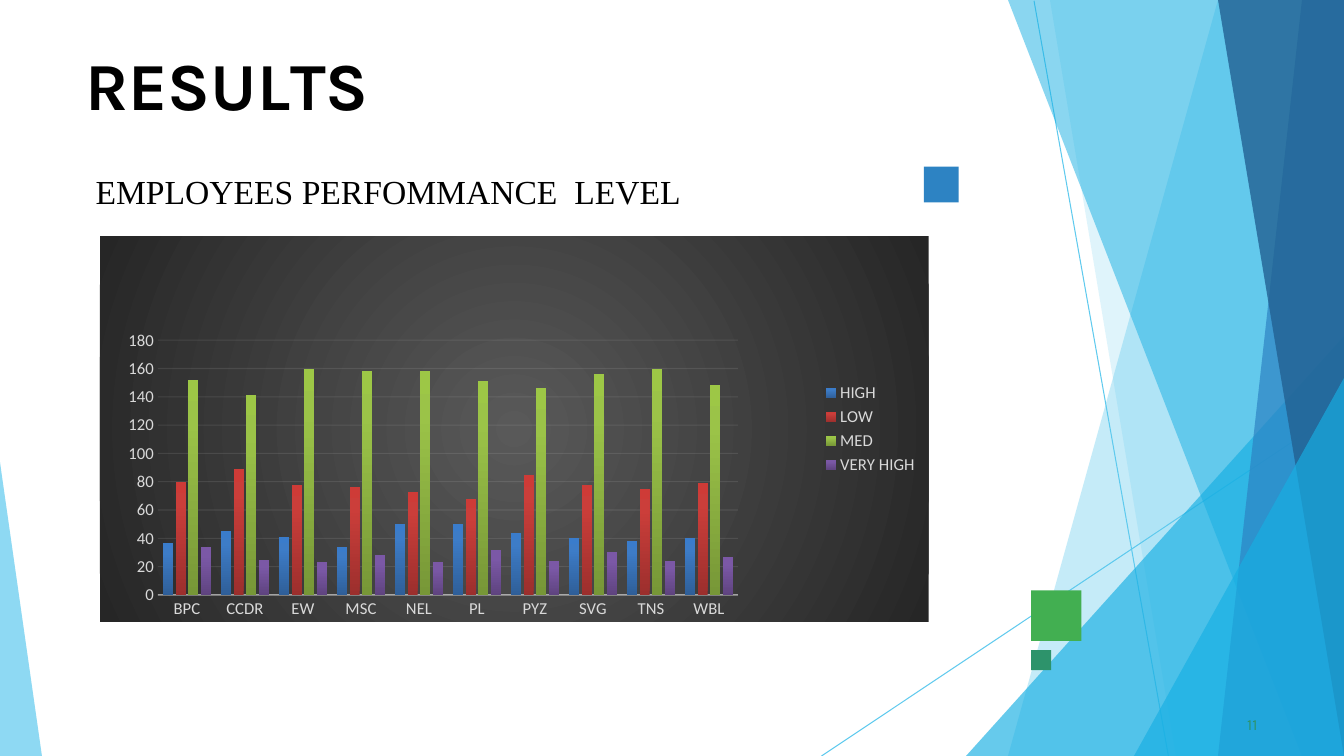
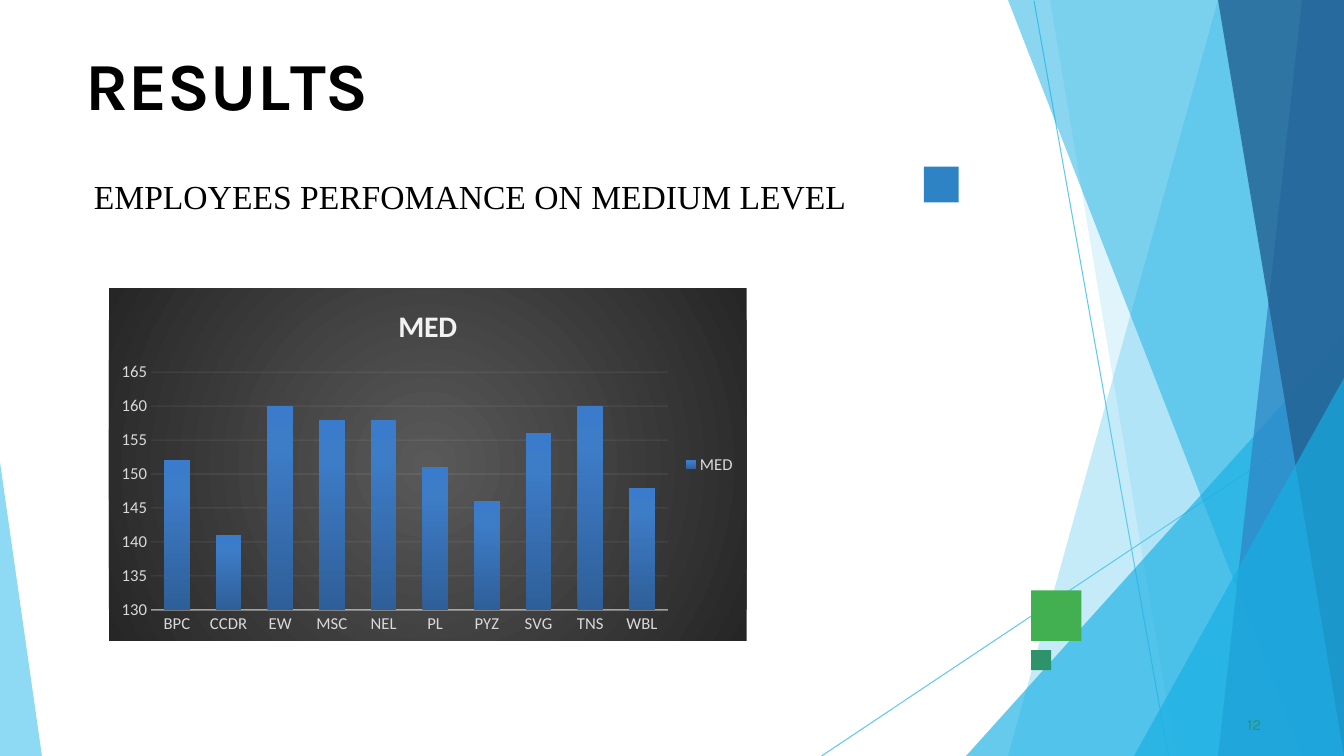
"""Build two result slides with column charts over a faceted blue backdrop."""
from dataclasses import dataclass
from typing import Any, NamedTuple

import lxml.etree
import pptx
import pptx.chart.chart
import pptx.chart.data
import pptx.dml.color
import pptx.enum.chart
import pptx.enum.shapes
import pptx.enum.text
import pptx.oxml
import pptx.oxml.ns
import pptx.slide
import pptx.util

COLS, ROWS = 32, 18
UNIT = pptx.util.Inches(7.5) // ROWS
qn = pptx.oxml.ns.qn


@dataclass(frozen=True)
class Theme:
    """Colours, fonts and type sizes of the deck."""
    sky: str = "5FCAEE"
    cyan: str = "17AFE3"
    blue: str = "2D83C3"
    navy: str = "226192"
    green: str = "42AF51"
    teal: str = "2D936B"
    black: str = "000000"
    pale: str = "D9D9D9"
    light: str = "F2F2F2"
    panel: tuple = ((0, "595959"), (100, "262626"))
    bars: tuple = (
        ((0, "2F5F99"), (80, "3D7CC7"), (100, "3A7CCB")),
        ((0, "9C2F2D"), (80, "CB3E3A"), (100, "CE3B37")),
        ((0, "779737"), (80, "9BC348"), (100, "9DC746")),
        ((0, "5F4480"), (80, "7B58A6"), (100, "7C57A8")),
    )
    head: str = "Karla"
    body: str = "Times New Roman"
    plot: str = "Calibri"
    big: float = 48
    mid: float = 24
    small: float = 11
    label: float = 11.9
    name: float = 21.3


LOOK = Theme()


class Box(NamedTuple):
    """Left, top, width and height in grid units."""
    x: float
    y: float
    w: float
    h: float

    def emu(self) -> list[int]:
        """Return the four lengths in EMU."""
        return [round(v * UNIT) for v in self]


class Band(NamedTuple):
    """Facet between a slide edge and a slanted side that runs to the foot."""
    edge: float
    top: float
    y: float
    foot: float
    color: str
    alpha: int


class Ray(NamedTuple):
    """Thin line from a point to the foot of the slide."""
    x: float
    y: float
    foot: float


class Tile(NamedTuple):
    """Small coloured square."""
    box: Box
    color: str


class Scale(NamedTuple):
    """Range and step of a value axis."""
    low: float
    high: float
    step: float


class Page(NamedTuple):
    """What differs from slide to slide."""
    num: str
    width: float
    text: str
    note: Box
    chart: Box
    names: list[str]
    scale: Scale
    title: str = ""
    inner: tuple = ()


BANDS = [
    Band(COLS, 29.47, 0, 24.1, LOOK.sky, 36),
    Band(COLS, 25.2, 0, 28.37, LOOK.sky, 20),
    Band(COLS, COLS, 8, 23.45, LOOK.cyan, 66),
    Band(COLS, 24.5, 0, 30.98, LOOK.cyan, 50),
    Band(COLS, 31.27, 0, 28.61, LOOK.blue, 70),
    Band(COLS, 28.7, 0, 31.63, LOOK.navy, 80),
    Band(COLS, COLS, 9.43, 27.22, LOOK.cyan, 66),
    Band(0, 0, 10.54, 1.18, LOOK.sky, 70),
]
RAYS = [Ray(24.62, 0.02, 27.82), Ray(COLS, 9.7, 19.56)]
TILES = [
    Tile(Box(24.55, 14.06, 1.2, 1.2), LOOK.green),
    Tile(Box(22, 3.97, 0.83, 0.85), LOOK.blue),
    Tile(Box(24.55, 15.48, 0.48, 0.48), LOOK.teal),
]
TITLE = [("R", 0), ("E", -0.4), ("S", 0.1), ("U", -0.3), ("L", -4), ("TS", 0)]
CATS = ["BPC", "CCDR", "EW", "MSC", "NEL", "PL", "PYZ", "SVG", "TNS", "WBL"]
DATA = {
    "HIGH": [37, 45, 41, 34, 50, 50, 44, 40, 38, 40],
    "LOW": [80, 89, 78, 76, 73, 68, 85, 78, 75, 79],
    "MED": [152, 141, 160, 158, 158, 151, 146, 156, 160, 148],
    "VERY HIGH": [34, 25, 23, 28, 23, 32, 24, 30, 24, 27],
}
PAGES = [
    Page("11", 12.29, "EMPLOYEES PERFOMMANCE  LEVEL", Box(2.04, 3.94, 18.82, 1.3),
         Box(2.38, 5.62, 19.73, 9.19), list(DATA), Scale(0, 180, 20),
         inner=(0.07, 0.27, 0.7, 0.66)),
    Page("12", 10.42, "EMPLOYEES PERFOMANCE ON MEDIUM LEVEL", Box(2, 4.08, 18.82, 1.3),
         Box(2.59, 6.86, 15.19, 8.4), ["MED"], Scale(130, 165, 5), "MED"),
]


def put(item: Any, **vals: Any) -> None:
    """Set each given attribute on an object."""
    for key, val in vals.items():
        setattr(item, key, val)


def paint(fill: Any, color: str) -> None:
    """Give a fill one solid colour."""
    fill.solid()
    fill.fore_color.rgb = pptx.dml.color.RGBColor.from_string(color)


def ink(font: Any, name: str, size: float, color: str, bold: bool = False) -> None:
    """Set face, size, colour and weight of a font."""
    put(font, name=name, size=pptx.util.Pt(size), bold=bold)
    paint(font.fill, color)


def stroke(line: Any, color: str, width: float) -> None:
    """Set colour and width of a line."""
    paint(line.fill, color)
    line.width = pptx.util.Pt(width)


def fade(node: Any, alpha: int) -> None:
    """Make the colours inside an element partly opaque."""
    for clr in node.iter(qn("a:srgbClr")):
        lxml.etree.SubElement(clr, qn("a:alpha"), val=str(alpha * 1000))


def blend(stops: tuple, round_: bool = False) -> Any:
    """Return a gradient fill element, radial or rising."""
    marks = "".join(f'<a:gs pos="{pos * 1000}"><a:srgbClr val="{clr}"/></a:gs>'
                    for pos, clr in stops)
    way = ('<a:path path="circle"><a:fillToRect l="50000" t="50000" r="50000" b="50000"/></a:path>'
           if round_ else '<a:lin ang="16200000" scaled="0"/>')
    return pptx.oxml.parse_xml(
        f'<a:gradFill {pptx.oxml.ns.nsdecls("a")}><a:gsLst>{marks}</a:gsLst>{way}</a:gradFill>')


def facet(slide: pptx.slide.Slide, band: Band) -> Any:
    """Draw one see-through facet."""
    dots = list(dict.fromkeys([(band.edge, band.y), (band.top, band.y),
                               (band.foot, ROWS), (band.edge, ROWS)]))
    pen = slide.shapes.build_freeform(*dots[0], scale=UNIT)
    pen.add_line_segments(dots[1:], close=True)
    shape = pen.convert_to_shape()
    shape.shadow.inherit = False
    paint(shape.fill, band.color)
    fade(shape._element.spPr, band.alpha)
    shape.line.fill.background()
    return shape


def beam(slide: pptx.slide.Slide, ray: Ray) -> Any:
    """Draw one thin line."""
    ends = [round(v * UNIT) for v in (ray.x, ray.y, ray.foot, ROWS)]
    line = slide.shapes.add_connector(pptx.enum.shapes.MSO_CONNECTOR.STRAIGHT, *ends)
    stroke(line.line, LOOK.sky, 0.75)
    lxml.etree.SubElement(line._element.spPr, qn("a:effectLst"))
    return line


def scene(slide: pptx.slide.Slide) -> None:
    """Draw the backdrop and move it to the layout that all slides share."""
    tree = slide.slide_layout.shapes._spTree
    parts = [beam(slide, ray) for ray in RAYS] + [facet(slide, band) for band in BANDS]
    for num, part in enumerate(parts, 20):
        next(part._element.iter(qn("p:cNvPr"))).set("id", str(num))
        tree.append(part._element)


def tile(slide: pptx.slide.Slide, item: Tile) -> None:
    """Draw one square."""
    shape = slide.shapes.add_shape(pptx.enum.shapes.MSO_SHAPE.RECTANGLE, *item.box.emu())
    shape.shadow.inherit = False
    paint(shape.fill, item.color)
    shape.line.fill.background()


def frame(shape: Any, tight: bool = True) -> Any:
    """Format a text frame and return its first paragraph."""
    text = shape.text_frame
    put(text, word_wrap=True, auto_size=pptx.enum.text.MSO_AUTO_SIZE.SHAPE_TO_FIT_TEXT,
        vertical_anchor=pptx.enum.text.MSO_ANCHOR.TOP)
    if tight:
        put(text, margin_left=0, margin_right=0, margin_bottom=0,
            margin_top=pptx.util.Inches(0.01))
    para = text.paragraphs[0]
    para.alignment = pptx.enum.text.PP_ALIGN.LEFT
    return para


def write(para: Any, text: str, font: tuple, gap: float = 0) -> None:
    """Add a run with letter spacing in points."""
    run = para.add_run()
    run.text = text
    ink(run.font, *font)
    if gap:
        run._r.get_or_add_rPr().set("spc", str(round(gap * 100)))


def words(slide: pptx.slide.Slide, page: Page) -> None:
    """Write the title, the page number and the caption."""
    head = slide.shapes.title
    put(head, **dict(zip(("left", "top", "width", "height"), Box(2, 1, page.width, 2.14).emu())))
    para = frame(head)
    para.space_before = pptx.util.Pt(1.1)
    para._p.get_or_add_pPr().set("marL", str(pptx.util.Inches(0.01)))
    for text, gap in TITLE:
        write(para, text, (LOOK.head, LOOK.big, LOOK.black, True), gap)
    para = frame(slide.shapes.add_textbox(*Box(29.6, 17, 0.6, 0.5).emu()))
    para.space_before = pptx.util.Pt(0.6)
    para._p.get_or_add_pPr().set("marL", str(pptx.util.Inches(0.04)))
    write(para, page.num, (LOOK.head, LOOK.small, LOOK.teal), 0.1)
    para = frame(slide.shapes.add_textbox(*page.note.emu()), tight=False)
    write(para, page.text, (LOOK.body, LOOK.mid, LOOK.black))


def axes(chart: pptx.chart.chart.Chart, scale: Scale) -> None:
    """Format both axes and the grid lines."""
    cat, val = chart.category_axis, chart.value_axis
    none = pptx.enum.chart.XL_TICK_MARK.NONE
    for axis in (cat, val):
        put(axis, major_tick_mark=none, minor_tick_mark=none)
        ink(axis.tick_labels.font, LOOK.plot, LOOK.label, LOOK.pale)
    stroke(cat.format.line, LOOK.light, 1)
    fade(cat._element.find(qn("c:spPr")), 54)
    put(val, minimum_scale=scale.low, maximum_scale=scale.high, major_unit=scale.step)
    val.format.line.fill.background()
    stroke(val.major_gridlines.format.line, LOOK.light, 0.75)
    fade(val._element.find(qn("c:majorGridlines")), 10)


def graph(slide: pptx.slide.Slide, page: Page) -> None:
    """Add the column chart on its dark panel."""
    data = pptx.chart.data.CategoryChartData()
    data.categories = CATS
    for name in page.names:
        data.add_series(name, DATA[name])
    kind = pptx.enum.chart.XL_CHART_TYPE.COLUMN_CLUSTERED
    chart = slide.shapes.add_chart(kind, *page.chart.emu(), data).chart
    ink(chart.font, LOOK.plot, 10, LOOK.black)
    put(chart, has_title=bool(page.title), has_legend=True)
    if page.title:
        write(chart.chart_title.text_frame.paragraphs[0], page.title,
              (LOOK.plot, LOOK.name, LOOK.light, True))
    put(chart.legend, position=pptx.enum.chart.XL_LEGEND_POSITION.RIGHT, include_in_layout=False)
    ink(chart.legend.font, LOOK.plot, LOOK.label, LOOK.pale)
    put(chart.plots[0], gap_width=100, overlap=-24, vary_by_categories=False)
    axes(chart, page.scale)
    for item, stops in zip(chart.plots[0].series, LOOK.bars):
        item._element.get_or_add_spPr().insert(0, blend(stops))
    root = chart._chartSpace
    skin = pptx.oxml.parse_xml(f'<c:spPr {pptx.oxml.ns.nsdecls("c", "a")}>'
                               '<a:ln><a:noFill/></a:ln></c:spPr>')
    skin.insert(0, blend(LOOK.panel, True))
    root.find(qn("c:txPr")).addprevious(skin)
    if page.inner:
        place(next(root.iter(qn("c:plotArea"))), page.inner)


def place(area: Any, inner: tuple) -> None:
    """Fix the plot's inner area as shares of the chart."""
    for old in area.findall(qn("c:layout")):
        area.remove(old)
    tags = [("layoutTarget", "inner"), ("xMode", "edge"), ("yMode", "edge"), *zip("xywh", inner)]
    rows = "".join(f'<c:{tag} val="{val}"/>' for tag, val in tags)
    area.insert(0, pptx.oxml.parse_xml(
        f'<c:layout {pptx.oxml.ns.nsdecls("c")}><c:manualLayout>{rows}</c:manualLayout></c:layout>'))


def main() -> None:
    """Build and save the deck."""
    deck = pptx.Presentation()
    put(deck, slide_width=COLS * UNIT, slide_height=ROWS * UNIT)
    for num, page in enumerate(PAGES):
        slide = deck.slides.add_slide(deck.slide_layouts[5])
        if num == 0:
            scene(slide)
        for item in TILES:
            tile(slide, item)
        words(slide, page)
        graph(slide, page)
    deck.save("out.pptx")


if __name__ == "__main__":
    main()
